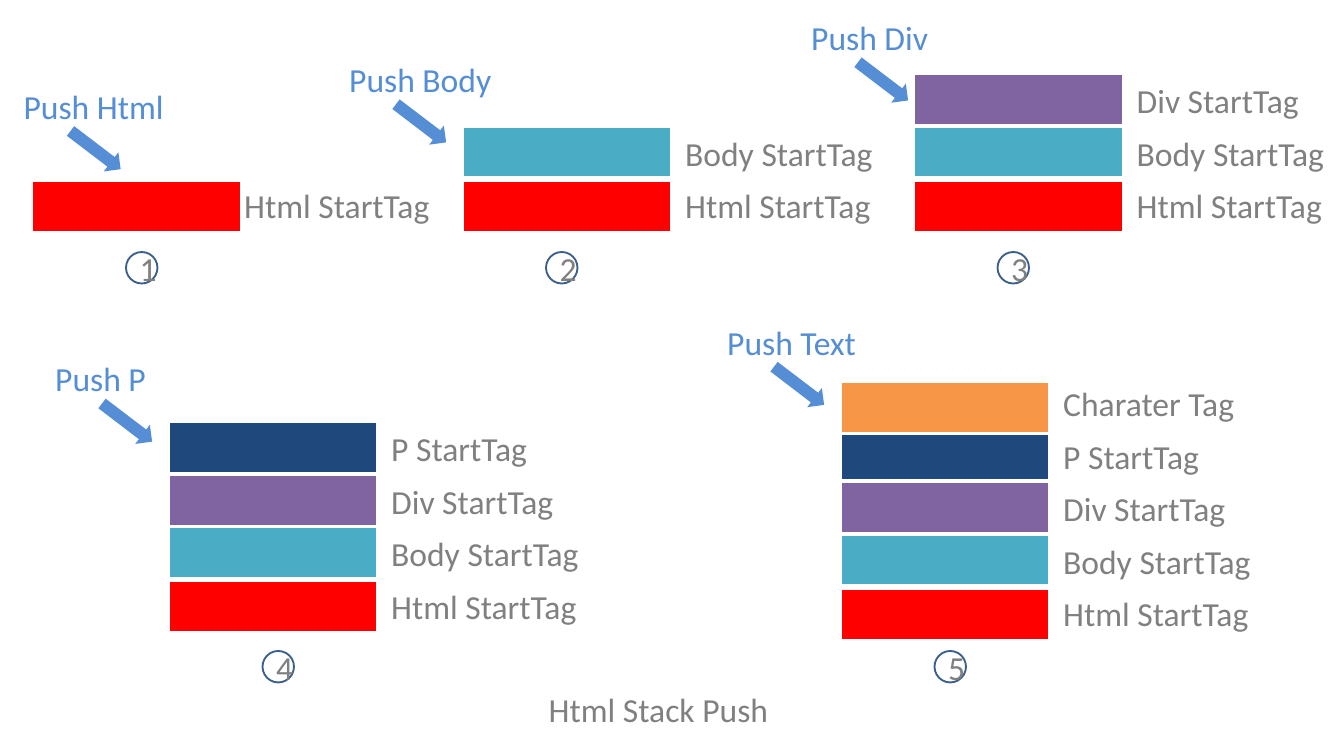
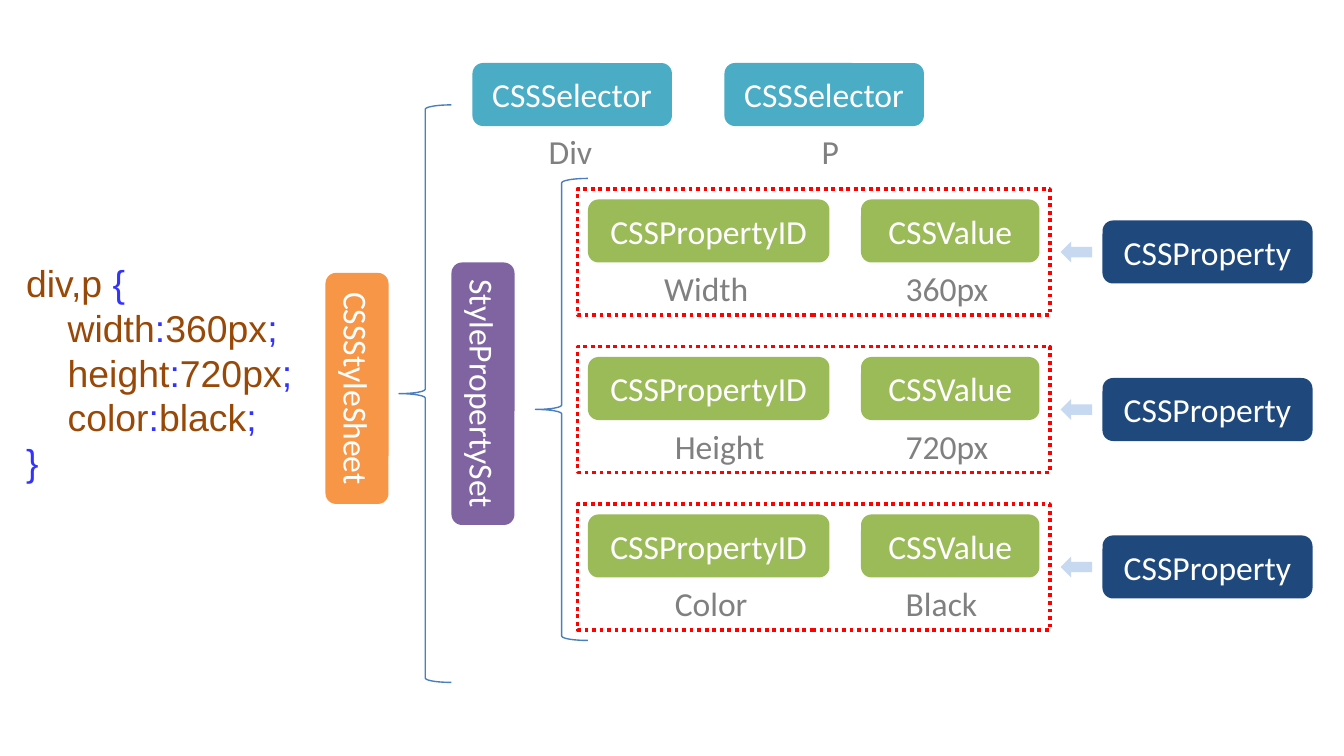
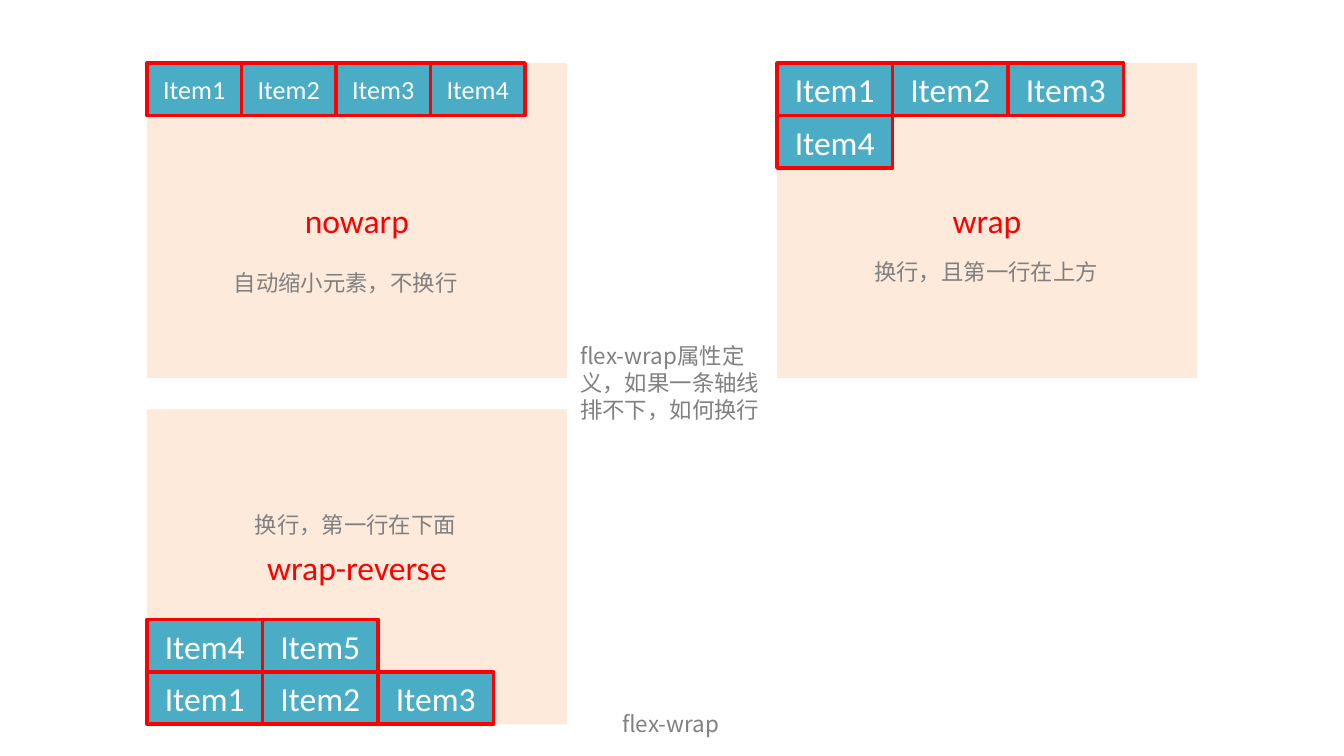
"""Build three slides on tag stacks, style sheets and flex wrapping."""
from dataclasses import dataclass
from itertools import groupby

from lxml.etree import SubElement as Sub
from pptx import Presentation
from pptx.dml.color import RGBColor as Rgb
from pptx.enum.dml import MSO_LINE as Dash
from pptx.enum.shapes import MSO_SHAPE as Kind
from pptx.enum.text import MSO_ANCHOR as Anchor, MSO_AUTO_SIZE as Fit, PP_ALIGN as Align
from pptx.oxml.ns import qn
from pptx.util import Inches, Pt


@dataclass(frozen=True)
class Theme:
    red: str = "FF0000"
    teal: str = "4BACC6"
    plum: str = "8064A2"
    navy: str = "1F497D"
    gold: str = "F79646"
    green: str = "9BBB59"
    blue: str = "558ED5"
    pale: str = "C6D9F1"
    cream: str = "FDEADA"
    white: str = "FFFFFF"
    gray: str = "808080"
    ring: str = "3A5F8C"
    brace: str = "4B7EBC"
    word: str = "984807"
    sign: str = "3333FF"
    body: int = 18
    code: int = 20
    item: int = 14
    small: int = 12
    face: str = "Calibri"
    mono: str = "Arial"
    han: str = "Noto Sans CJK SC"


class Deck:
    def __init__(self, theme, cols=128, rows=72):
        self.theme = theme
        self.show = Presentation()
        self.show.slide_width, self.show.slide_height = Inches(10), Inches(5.625)
        self.dx = self.show.slide_width / cols
        self.dy = self.show.slide_height / rows

    def page(self):
        self.slide = self.show.slides.add_slide(self.show.slide_layouts[6])

    def place(self, x, y, w, h):
        return [round(n) for n in (x * self.dx, y * self.dy, w * self.dx, h * self.dy)]

    def style(self, run, size, tint, face):
        font = run.font
        font.size, font.name = Pt(size), face
        font.color.rgb = Rgb.from_string(tint)
        Sub(run._r.get_or_add_rPr(), qn("a:ea")).set("typeface", face)

    def box(self, area, fill=None, text="", line=None, wide=2, kind=Kind.RECTANGLE,
            turn=0, size=None, ink=None, dash=None):
        form = self.slide.shapes.add_shape(kind, *self.place(*area))
        form.shadow.inherit = False
        form.rotation = turn
        if fill:
            form.fill.solid()
            form.fill.fore_color.rgb = Rgb.from_string(fill)
        else:
            form.fill.background()
        if line:
            form.line.color.rgb = Rgb.from_string(line)
            form.line.width = Pt(wide)
            if dash:
                form.line.dash_style = dash
        else:
            form.line.fill.background()
        if text:
            frame = form.text_frame
            frame.text = text
            frame.vertical_anchor = Anchor.MIDDLE
            para = frame.paragraphs[0]
            para.alignment = Align.CENTER
            self.style(para.runs[0], size or self.theme.body,
                       ink or self.theme.white, self.theme.face)

    def pill(self, area, fill, text, turn=0):
        self.box(area, fill, text, kind=Kind.ROUNDED_RECTANGLE, turn=turn)

    def arrow(self, area, fill, turn):
        self.box(area, fill, kind=Kind.RIGHT_ARROW, turn=turn)

    def brace(self, area):
        self.box(area, line=self.theme.brace, wide=0.75, kind=Kind.LEFT_BRACE)

    def frame(self, area, wrap=True):
        frame = self.slide.shapes.add_textbox(*self.place(*area)).text_frame
        frame.word_wrap = wrap
        frame.auto_size = Fit.SHAPE_TO_FIT_TEXT
        return frame

    def note(self, x, y, w, text, tint=None):
        frame = self.frame((x, y, w, 5.1))
        frame.text = text
        self.style(frame.paragraphs[0].runs[0], self.theme.body,
                   tint or self.theme.gray, self.theme.face)

    def hint(self, x, y, w, text, h=3.8, wrap=True):
        frame = self.frame((x, y, w, h), wrap)
        frame.text = text
        self.style(frame.paragraphs[0].runs[0], self.theme.small,
                   self.theme.gray, self.theme.han)

    def code(self, area, lines):
        look = self.theme
        frame = self.frame(area)
        frame.vertical_anchor = Anchor.MIDDLE
        frame.margin_left = Inches(0.35)
        frame.margin_top = frame.margin_right = frame.margin_bottom = 0
        for num, (deep, line) in enumerate(lines):
            para = frame.add_paragraph() if num else frame.paragraphs[0]
            prop = para._p.get_or_add_pPr()
            prop.set("marL", str(Inches(0.31) * deep))
            prop.set("indent", "0")
            for sign, part in groupby(line, lambda c: c in "{}:;"):
                run = para.add_run()
                run.text = "".join(part)
                self.style(run, look.code, look.sign if sign else look.word, look.mono)

    def stack(self, x, y, tags, gap=0):
        for num, (name, fill, wide, dip) in enumerate(tags):
            top = y - 5 * num
            self.box((x, top + dip, 20, 5), fill, line=self.theme.white)
            self.note(x + 20 - gap, top, wide, name)

    def push(self, x, y, w, name):
        self.note(x, y, w, f"Push {name}", self.theme.blue)
        self.arrow((x + 5.1, y + 5.6, 6, 2.3), self.theme.blue, 37.3)

    def disc(self, x, y, num):
        self.box((x, y, 3, 3), text=str(num), line=self.theme.ring, wide=1,
                 kind=Kind.OVAL, ink=self.theme.gray)

    def panel(self, x, y, text):
        self.box((x, y, 40, 30), self.theme.cream, text, ink=self.theme.red)

    def items(self, x, y, nums, w=11, size=None):
        for spot, num in enumerate(nums):
            self.box((x + w * spot, y, w, 5), self.theme.teal, f"Item{num}",
                     line=self.theme.red, size=size)


def stacks(deck):
    look = deck.theme
    tags = [("Html StartTag", look.red, 22, 0.15), ("Body StartTag", look.teal, 22, 0),
            ("Div StartTag", look.plum, 22, 0), ("P StartTag", look.navy, 22, 0),
            ("Charater Tag", look.gold, 28, 0.45)]
    steps = [(3, 17, 1, (12, 24), (1, 7.55, 18, "Html")),
             (44, 17, 0, (52, 24), (32, 5, 18, "Body")),
             (87, 17, 0, (95, 24), (76, 1, 15, "Div")),
             (16, 55.15, 0, (25, 62), (4, 33.5, 18, "P")),
             (80, 55.85, 0, (89, 62), (68, 30, 18, "Text"))]
    deck.page()
    for num, (x, y, gap, disc, push) in enumerate(steps, 1):
        deck.stack(x, y, tags[:num], gap)
        deck.disc(*disc, num)
        deck.push(*push)
    deck.note(51, 65, 26, "Html Stack Push")


def sheet(deck):
    look = deck.theme
    deck.page()
    deck.code((-2, 24.7, 44, 21.5), [(0, "div,p {"), (1, "width:360px;"),
              (1, "height:720px;"), (1, "color:black;"), (0, "}")])
    deck.pill((23, 34, 22, 6), look.gold, "CSSStyleSheet", 90)
    deck.pill((33.5, 34.5, 25, 6), look.plum, "StylePropertySet", 90)
    for x in (45, 69):
        deck.pill((x, 6, 19, 6), look.teal, "CSSSelector")
    deck.note(51, 11.8, 8, "Div")
    deck.note(77, 11.8, 6, "P")
    deck.brace((38, 10, 5, 55))
    deck.brace((51, 17, 5, 44))
    rules = [("Width", "360px", 62), ("Height", "720px", 63), ("Color", "Black", 63)]
    for num, (name, value, x) in enumerate(rules):
        y = 18 + 15 * num
        deck.pill((56, y + 1, 23, 6), look.green, "CSSPropertyID")
        deck.pill((82, y + 1, 17, 6), look.green, "CSSValue")
        deck.pill((105, y + 3, 20, 6), look.navy, "CSSProperty")
        deck.box((55, y, 45, 12), line=look.red, dash=Dash.ROUND_DOT)
        deck.arrow((101, y + 5, 3, 2), look.pale, 180)
        deck.note(x, y + 6.9, 12, name)
        deck.note(85, y + 6.9, 12, value)


def wraps(deck):
    deck.page()
    for panel in ((14, 6, "nowarp"), (74, 6, "wrap"), (14, 39, "wrap-reverse")):
        deck.panel(*panel)
    deck.items(14, 6, (1, 2, 3, 4), 9, deck.theme.item)
    deck.items(74, 6, (1, 2, 3))
    deck.items(74, 11, (4,))
    deck.items(14, 64, (1, 2, 3))
    deck.items(14, 59, (4, 5))
    deck.hint(21, 25, 25, "自动缩小元素，不换行")
    deck.hint(82, 24, 24, "换行，且第一行在上方", wrap=False)
    deck.hint(23, 48.1, 22, "换行，第一行在下面", wrap=False)
    deck.hint(54, 32, 20, "flex-wrap属性定义，如果一条轴线排不下，如何换行", 9.1)
    deck.hint(58, 67, 13, "flex-wrap")


deck = Deck(Theme())
for draw in (stacks, sheet, wraps):
    draw(deck)
deck.show.save("out.pptx")
